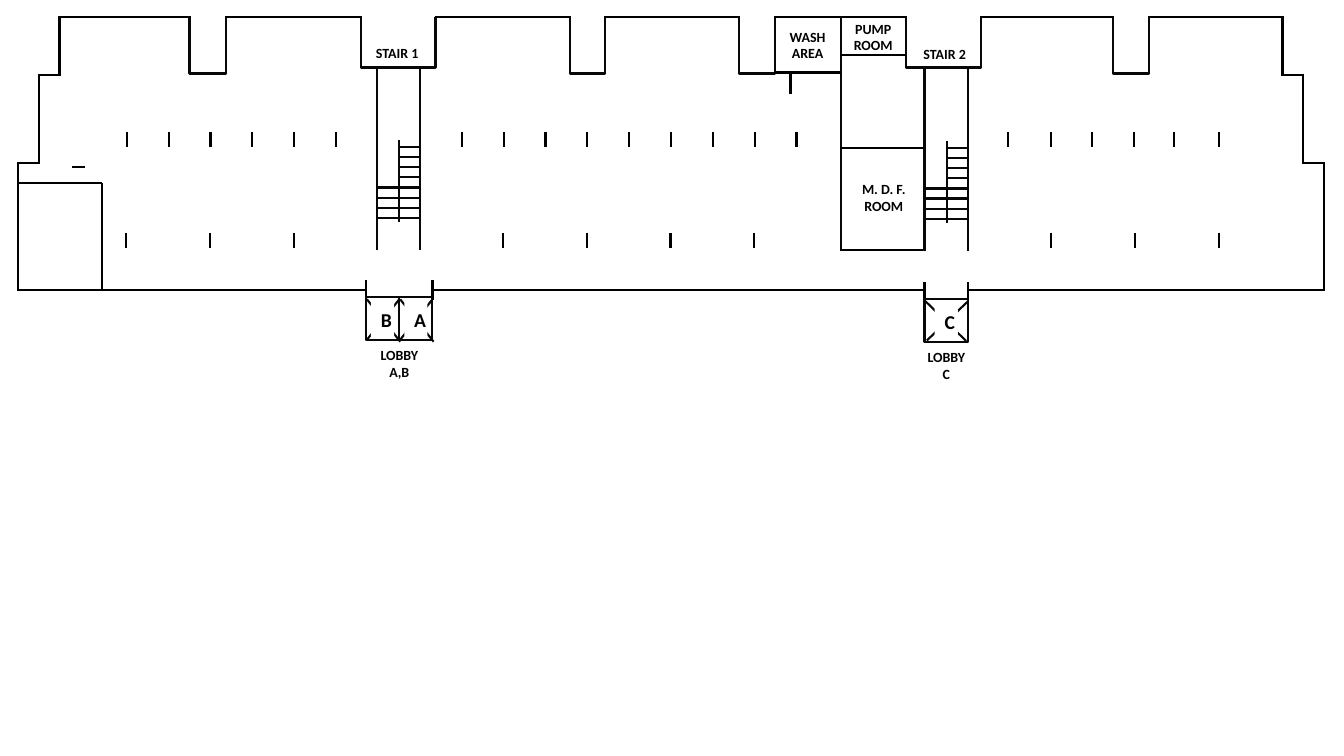
from itertools import pairwise

from lxml import etree
from pptx import Presentation
from pptx.dml.color import RGBColor
from pptx.enum.dml import MSO_LINE
from pptx.enum.shapes import MSO_CONNECTOR, MSO_SHAPE
from pptx.enum.text import MSO_ANCHOR, MSO_AUTO_SIZE, PP_ALIGN
from pptx.oxml.ns import qn
from pptx.util import Inches, Pt

STRAIGHT = MSO_CONNECTOR.STRAIGHT
RECTANGLE = MSO_SHAPE.RECTANGLE
DASHED = MSO_LINE.DASH_DOT_DOT
MIDDLE = MSO_ANCHOR.MIDDLE
GROW = MSO_AUTO_SIZE.SHAPE_TO_FIT_TEXT
CENTER = PP_ALIGN.CENTER
WALL, INNER, PAPER = "000000", "080808", "FFFFFF"
FRAME = {"word_wrap": True, "auto_size": GROW}
FONT = {"name": "Calibri", "bold": True}


def color(hex_value):
    return RGBColor.from_string(hex_value)


def apply(target, values):
    for key, value in values.items():
        setattr(target, key, value)


def inches(*lengths):
    return [Inches(length) for length in lengths]


def stroke(line, hex_value):
    line.color.rgb = color(hex_value)
    line.width = Pt(1.5)


def wall(plan, x1, y1, x2, y2, hex_value=WALL, dash=None):
    segment = plan.add_connector(STRAIGHT, *inches(x1, y1, x2, y2))
    stroke(segment.line, hex_value)
    if dash:
        segment.line.dash_style = dash
    etree.SubElement(segment._element.spPr, qn("a:effectLst"))


def write(holder, text, size):
    frame = holder.text_frame
    apply(frame, FRAME)
    paragraph = frame.paragraphs[0]
    paragraph.alignment = CENTER
    run = paragraph.add_run()
    run.text = text
    apply(run.font, FONT)
    run.font.size = Pt(size)
    run.font.color.rgb = color(WALL)


def label(plan, text, left, top, width, height=0.44):
    write(plan.add_textbox(*inches(left, top, width, height)), text, 10)


def notch(plan, left, top, right, depth):
    builder = plan.build_freeform(*inches(right, top))
    corners = [(right, top + depth), (left, top + depth), (left, top)]
    builder.add_line_segments([inches(*corner) for corner in corners], close=False)
    recess = builder.convert_to_shape()
    recess.shadow.inherit = False
    recess.fill.background()
    stroke(recess.line, INNER)


def outer_walls(plan, left, top, right, bottom):
    facade = [(0.42, 1.71), (2.07, 3.41), (4.15, 5.48), (5.83, 7.16),
              (7.52, 8.82), (9.56, 10.87), (11.23, 12.55)]
    for start, end in facade:
        wall(plan, left + start - 0.01, top, left + end + 0.01, top)
    for (_, start), (end, _) in pairwise(facade):
        depth = 0.5 if end - start > 0.5 else 0.56
        notch(plan, left + start, top, left + end, depth)
    for edge, inward in ((left, 1), (right, -1)):
        outer, middle, inner = (edge + inward * offset for offset in (0.01, 0.22, 0.42))
        wall(plan, inner, top, inner, top + 0.58)
        wall(plan, middle, top + 0.57, inner, top + 0.57)
        wall(plan, middle, top + 0.56, middle, top + 1.46)
        wall(plan, outer, top + 1.45, middle, top + 1.45)
        wall(plan, outer, top + 1.44, outer, bottom + 0.01)
    for start, end in ((0, 3.46), (4.11, 9), (9.42, right - left)):
        wall(plan, left + start, bottom, left + end, bottom)


def stair(plan, name, left, top):
    right, spine = left + 0.43, left + 0.22
    for side in (left, right):
        wall(plan, side, top, side, top + 1.81, INNER)
    wall(plan, spine, top + 0.72, spine, top + 1.53, INNER)
    for step in range(8):
        height = top + 0.79 + 0.1 * step
        wall(plan, spine if step < 4 else left, height, right, height, INNER)
    label(plan, name, left - 0.14, top - 0.28, 0.68, 0.27)


def lift(plan, letter, left, top, width, height):
    shaft = plan.add_shape(RECTANGLE, *inches(left, top, width, height))
    shaft.shadow.inherit = False
    shaft.fill.background()
    stroke(shaft.line, INNER)
    wall(plan, left + 0.01, top + 0.02, left + width + 0.01, top + height + 0.02, INNER, DASHED)
    wall(plan, left + width, top + 0.02, left + 0.01, top + height, INNER, DASHED)
    sign = plan.add_shape(RECTANGLE, *inches(left + (width - 0.23) / 2, top + 0.05, 0.23, 0.34))
    sign.shadow.inherit = False
    sign.fill.solid()
    sign.fill.fore_color.rgb = color(PAPER)
    sign.line.fill.background()
    write(sign, letter, 14)
    sign.text_frame.vertical_anchor = MIDDLE


def lobby(plan, name, letters, left, top, width, label_width):
    for side in (left, left + width):
        wall(plan, side, top - 0.17, side, top + 0.03)
    lift_width = width / len(letters)
    for index, letter in enumerate(letters):
        lift(plan, letter, left + index * lift_width, top, lift_width, 0.42)
    label(plan, name, left + (width - label_width) / 2, top + 0.44, label_width)


def columns(plan, positions, top):
    for position in positions:
        wall(plan, position, top, position, top + 0.15)


def service_rooms(plan, left, top):
    wall(plan, left, top, left, top + 2.32, INNER)
    for offset, width in ((0.39, 0.66), (1.31, 0.84), (2.32, 0.84)):
        wall(plan, left - 0.01, top + offset, left - 0.01 + width, top + offset)
    wall(plan, left - 0.66, top + 0.56, left, top + 0.56)
    wall(plan, left - 0.5, top + 0.55, left - 0.5, top + 0.77)
    label(plan, "PUMP ROOM", left, top - 0.01, 0.64)
    label(plan, "WASH AREA", left - 0.65, top + 0.07, 0.64)
    label(plan, "M. D. F. ROOM", left + 0.02, top + 1.58, 0.81)


def corner_room(plan, left, top, width, height):
    wall(plan, left + width, top, left + width, top + height)
    wall(plan, left, top, left + width, top)
    wall(plan, left + 0.54, top - 0.16, left + 0.67, top - 0.16)


def spaced(start, end, count):
    return [start + (end - start) * index / (count - 1) for index in range(count)]


def floor_plan(slide):
    plan = slide.shapes.add_group_shape().shapes
    outer_walls(plan, 0.17, 0.17, 13.14, 2.88)
    corner_room(plan, 0.17, 1.82, 0.84, 1.06)
    service_rooms(plan, 8.34, 0.16)
    stair(plan, "STAIR 1", 3.74, 0.67)
    stair(plan, "STAIR 2", 9.17, 0.68)
    upper_east = [10, 10.42, 10.83, 11.25, 11.64, 12.09]
    columns(plan, spaced(1.26, 3.33, 6) + spaced(4.58, 7.9, 9) + upper_east, 1.31)
    columns(plan, spaced(1.25, 2.92, 3) + spaced(4.99, 7.48, 4) + spaced(10.42, 12.09, 3), 2.31)
    lobby(plan, "LOBBY A,B", "BA", 3.63, 2.95, 0.66, 0.72)
    lobby(plan, "LOBBY C", "C", 9.17, 2.97, 0.43, 0.61)


def main():
    deck = Presentation()
    deck.slide_width, deck.slide_height = inches(13.33, 7.5)
    floor_plan(deck.slides.add_slide(deck.slide_layouts[6]))
    deck.save("out.pptx")


if __name__ == "__main__":
    main()
